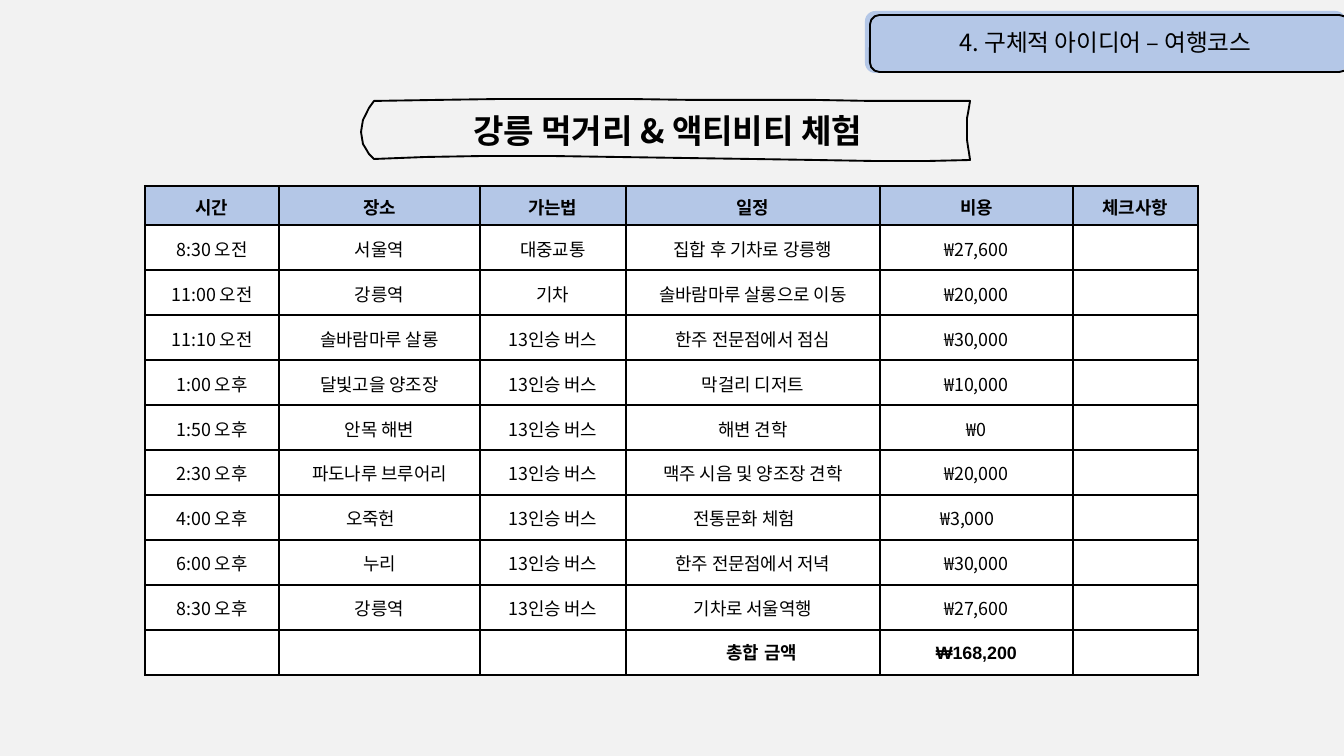
from dataclasses import dataclass

from lxml.etree import SubElement
from pptx import Presentation
from pptx.dml.color import RGBColor
from pptx.enum.shapes import MSO_SHAPE as Shape
from pptx.enum.text import MSO_ANCHOR as Anchor, MSO_AUTO_SIZE as AutoSize, PP_ALIGN as Align
from pptx.oxml.ns import qn
from pptx.util import Emu, Pt

SCALE = 4986  # EMU per px


@dataclass(frozen=True)
class Theme:
    background: str = "F2F2F2"
    accent: str = "B4C7E7"
    paper: str = "FFFFFF"
    ink: str = "000000"
    font: str = "Noto Sans CJK KR"
    total_font: str = "Arial"
    section_size: float = 9.3
    title_size: float = 13
    table_size: float = 7
    outline: float = 0.75
    border: float = 1


THEME = Theme()

HEADINGS = ["시간", "장소", "가는법", "일정", "비용", "체크사항"]
BUS = "13인승 버스"
SCHEDULE = [
    ["8:30 오전", "서울역", "대중교통", "집합 후 기차로 강릉행", "₩27,600", ""],
    ["11:00 오전", "강릉역", "기차", "솔바람마루 살롱으로 이동", "₩20,000", ""],
    ["11:10 오전", "솔바람마루 살롱", BUS, "한주 전문점에서 점심", "₩30,000", ""],
    ["1:00 오후", "달빛고을 양조장", BUS, "막걸리 디저트", "₩10,000", ""],
    ["1:50 오후", "안목 해변", BUS, "해변 견학", "₩0", ""],
    ["2:30 오후", "파도나루 브루어리", BUS, "맥주 시음 및 양조장 견학", "₩20,000", ""],
    ["4:00 오후", "오죽헌　", BUS, "전통문화 체험　", "₩3,000　", ""],
    ["6:00 오후", "누리", BUS, "한주 전문점에서 저녁", "₩30,000", ""],
    ["8:30 오후", "강릉역", BUS, "기차로 서울역행", "₩27,600", ""],
]
TOTAL = ["", "", "", "　총합 금액", "₩168,200", ""]
COLUMN_WIDTHS = [134, 201, 146, 254, 193, 125]
HEADING_HEIGHT, ROW_HEIGHT = 39, 45


def px(value):
    return Emu(round(value * SCALE))


def color(value):
    return RGBColor.from_string(value)


def write(frame, text, size, bold=False, font=THEME.font):
    """Put one centred line of formatted text in a text frame."""
    paragraph = frame.paragraphs[0]
    paragraph.alignment = Align.CENTER
    if not text:
        paragraph._p.get_or_add_endParaRPr().set("sz", str(round(size * 100)))
        return
    run = paragraph.add_run()
    run.text = text
    run.font.size = Pt(size)
    run.font.bold = bold
    run.font.name = font
    run.font.color.rgb = color(THEME.ink)
    SubElement(run._r.get_or_add_rPr(), qn("a:ea"), typeface=font)


def style(shape, fill=None, line=None):
    shape.shadow.inherit = False
    if fill:
        shape.fill.solid()
        shape.fill.fore_color.rgb = color(fill)
    else:
        shape.fill.background()
    if line:
        shape.line.color.rgb = color(line)
        shape.line.width = Pt(THEME.outline)
    else:
        shape.line.fill.background()


def curve(start, first, second, end, steps=10):
    """Points along a cubic curve, without its start."""
    for step in range(1, steps + 1):
        t = step / steps
        weights = ((1 - t) ** 3, 3 * t * (1 - t) ** 2, 3 * t * t * (1 - t), t ** 3)
        yield tuple(sum(w * point[axis] for w, point in zip(weights, (start, first, second, end)))
                    for axis in (0, 1))


def add_section_tag(slide, left, top, width, height):
    # Filled tag, then an offset outline
    tag = slide.shapes.add_shape(Shape.ROUNDED_RECTANGLE, px(left), px(top), px(width), px(height))
    style(tag, fill=THEME.accent)
    tag.text_frame.vertical_anchor = Anchor.MIDDLE
    write(tag.text_frame, "4. 구체적 아이디어 – 여행코스", THEME.section_size)
    outline = slide.shapes.add_shape(Shape.ROUNDED_RECTANGLE, px(left + 5), px(top + 4),
                                     px(width - 2), px(height - 5))
    style(outline, line=THEME.ink)


def add_title_ribbon(slide, left, top, width, height):
    # Hand-drawn outline
    near, far, bottom = left + 13, left + width, top + height
    start = (near, top)
    sides = [
        ((left + 217, top - 4), (left + 461, top), (far, top)),
        ((far - 4, top + 20), (far - 5, top + 35), (far, bottom)),
        ((far - 125, bottom + 5), (left + 171, bottom - 10), (near, bottom - 1)),
        ((left - 4, top + 42), (left - 4, top + 22), start),
    ]
    points, corner = [], start
    for first, second, end in sides:
        points.extend(curve(corner, first, second, end))
        corner = end
    builder = slide.shapes.build_freeform(*start, scale=SCALE)
    builder.add_line_segments(points, close=True)
    style(builder.convert_to_shape(), line=THEME.ink)

    # Title text
    title = slide.shapes.title
    title.left, title.top, title.width, title.height = map(px, (left + 2, top, width, height))
    frame = title.text_frame
    frame.auto_size = AutoSize.NONE
    frame.vertical_anchor = Anchor.MIDDLE
    frame.margin_left = frame.margin_right = frame.margin_top = frame.margin_bottom = 0
    write(frame, "강릉 먹거리 & 액티비티 체험", THEME.title_size, bold=True)


def format_cell(cell, fill):
    properties = cell._tc.get_or_add_tcPr()
    for side in ("lnL", "lnR", "lnT", "lnB"):
        line = SubElement(properties, qn(f"a:{side}"), w=str(Pt(THEME.border)))
        SubElement(SubElement(line, qn("a:solidFill")), qn("a:srgbClr"), val=THEME.ink)
    cell.fill.solid()
    cell.fill.fore_color.rgb = color(fill)
    cell.vertical_anchor = Anchor.MIDDLE
    cell.margin_left = cell.margin_right = cell.margin_top = px(2)
    cell.margin_bottom = 0


def add_schedule(slide, left, top):
    rows = [HEADINGS, *SCHEDULE, TOTAL]
    height = HEADING_HEIGHT + ROW_HEIGHT * (len(rows) - 1)
    table = slide.shapes.add_table(len(rows), len(HEADINGS), px(left), px(top),
                                   px(sum(COLUMN_WIDTHS)), px(height)).table
    for column, width in zip(table.columns, COLUMN_WIDTHS):
        column.width = px(width)
    for index, texts in enumerate(rows):
        heading, total = texts is HEADINGS, texts is TOTAL
        table.rows[index].height = px(HEADING_HEIGHT if heading else ROW_HEIGHT)
        for cell, text in zip(table.rows[index].cells, texts):
            format_cell(cell, THEME.accent if heading else THEME.paper)
            write(cell.text_frame, text, THEME.table_size, bold=heading or total,
                  font=THEME.total_font if total else THEME.font)


def main():
    presentation = Presentation()
    presentation.slide_width, presentation.slide_height = px(1344), px(756)
    slide = presentation.slides.add_slide(presentation.slide_layouts[5])
    slide.background.fill.solid()
    slide.background.fill.fore_color.rgb = color(THEME.background)
    add_section_tag(slide, 865, 11, 481, 62)
    add_title_ribbon(slide, 361, 101, 609, 59)
    add_schedule(slide, 145, 186)
    presentation.save("out.pptx")


if __name__ == "__main__":
    main()
